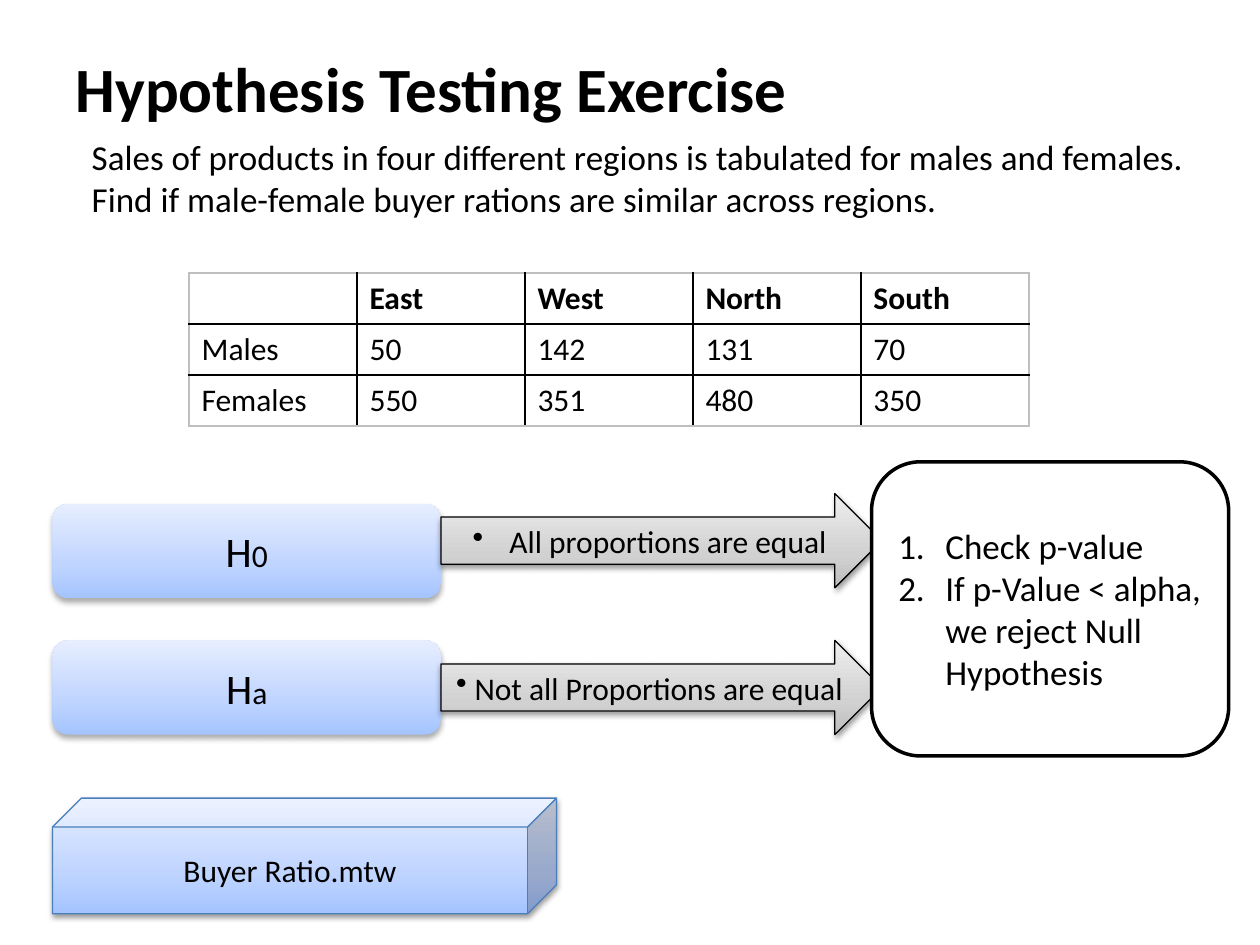
from lxml.etree import SubElement
from pptx import Presentation
from pptx.dml.color import RGBColor
from pptx.enum.shapes import MSO_SHAPE as Preset
from pptx.enum.text import MSO_ANCHOR as Anchor, MSO_AUTO_SIZE as AutoSize, PP_ALIGN as Align
from pptx.oxml.ns import qn
from pptx.util import Cm, Pt

COLORS = {"text": "000000", "paper": "FFFFFF", "outer": "BFBFBF", "cube_edge": "4B7EBC"}
GRADIENTS = {
    "blue": [(0, "A4C4FF"), (35, "BFD4FF"), (100, "E6EEFF")],
    "grey": [(0, "BDBDBD"), (35, "D1D1D1"), (100, "EEEEEE")],
}
SHADOWS = {
    "soft": {"opacity": 35, "blur": 3.15, "distance": 1.8},
    "deep": {"opacity": 38, "blur": 3.15, "distance": 1.6},
}
SHADOWS["soft"] = {"opacity": 32, "blur": 3.5, "distance": 2.2}
SALES = [
    ["", "East", "West", "North", "South"],
    ["Males", "50", "142", "131", "70"],
    ["Females", "550", "351", "480", "350"],
]


def rgb(name):
    return RGBColor.from_string(COLORS[name])


def apply(target, **values):
    for name, value in values.items():
        setattr(target, name, value)


def place(box):
    return [Cm(length) for length in box]


def add_run(paragraph, text, size, bold=False):
    run = paragraph.add_run()
    run.text = text
    apply(run.font, name="Calibri", size=Pt(size), bold=bold)
    run.font.color.rgb = rgb("text")


def set_bullet(paragraph, tag, indent, **values):
    properties = paragraph._p.get_or_add_pPr()
    properties.set("marL", str(Cm(indent)))
    properties.set("indent", str(-Cm(indent)))
    SubElement(properties, qn(tag), values)


def set_gradient(shape, gradient):
    shape.fill.gradient()
    shape.fill.gradient_angle = 90
    stops = shape._element.spPr.find(qn("a:gradFill")).find(qn("a:gsLst"))
    for stop in list(stops):
        stops.remove(stop)
    for position, color in GRADIENTS[gradient]:
        stop = SubElement(stops, qn("a:gs"), pos=str(position * 1000))
        SubElement(stop, qn("a:srgbClr"), val=color)


def set_shadow(shape, opacity, blur, distance):
    effects = shape._element.spPr.find(qn("a:effectLst"))
    outer = SubElement(effects, qn("a:outerShdw"), blurRad=str(Pt(blur)),
                       dist=str(Pt(distance)), dir="5400000", rotWithShape="0")
    color = SubElement(outer, qn("a:srgbClr"), val=COLORS["text"])
    SubElement(color, qn("a:alpha"), val=str(opacity * 1000))


def add_block(slide, preset, box, gradient=None, edge=None, edge_width=0.75, shadow=None):
    block = slide.shapes.add_shape(preset, *place(box))
    if gradient:
        set_gradient(block, gradient)
    else:
        block.fill.solid()
        block.fill.fore_color.rgb = rgb("paper")
    if edge:
        block.line.color.rgb = rgb(edge)
        block.line.width = Pt(edge_width)
    else:
        block.line.fill.background()
    block.shadow.inherit = False
    if shadow:
        set_shadow(block, **SHADOWS[shadow])
    apply(block.text_frame, word_wrap=True, vertical_anchor=Anchor.MIDDLE)
    block.text_frame.paragraphs[0].alignment = Align.CENTER
    return block.text_frame


def add_title(slide, text):
    title = slide.shapes.title
    left, top, width, height = place((1.27, 0.76, 22.86, 1.98))
    apply(title, left=left, top=top, width=width, height=height)
    apply(title.text_frame, word_wrap=True, vertical_anchor=Anchor.MIDDLE,
          auto_size=AutoSize.NONE)
    paragraph = title.text_frame.paragraphs[0]
    paragraph.alignment = Align.LEFT
    add_run(paragraph, text, 36, bold=True)


def add_question(slide, text):
    frame = slide.shapes.add_textbox(*place((1.6, 2.6, 23.3, 2))).text_frame
    frame.word_wrap = True
    add_run(frame.paragraphs[0], text, 20)


def set_border(cell, side, color):
    line = SubElement(cell._tc.get_or_add_tcPr(), qn(f"a:ln{side}"), w=str(Pt(1)))
    fill = SubElement(line, qn("a:solidFill"))
    SubElement(fill, qn("a:srgbClr"), val=COLORS[color])


def add_sales_table(slide, rows):
    row_count, column_count = len(rows), len(rows[0])
    table = slide.shapes.add_table(row_count, column_count,
                                   *place((3.81, 5.5, 16.93, 3.09))).table
    apply(table, first_row=False, horz_banding=False)
    for r, row in enumerate(rows):
        for c, text in enumerate(row):
            cell = table.cell(r, c)
            at_edge = {"L": c == 0, "R": c == column_count - 1,
                       "T": r == 0, "B": r == row_count - 1}
            for side, outer in at_edge.items():
                set_border(cell, side, "outer" if outer else "text")
            cell.fill.background()
            if text:
                add_run(cell.text_frame.paragraphs[0], text, 18, bold=r == 0)


def add_hypothesis(slide, top, subscript):
    frame = add_block(slide, Preset.ROUNDED_RECTANGLE, (1.06, top, 7.83, 1.9),
                      gradient="blue", shadow="soft")
    add_run(frame.paragraphs[0], "H", 24)
    add_run(frame.paragraphs[0], subscript, 18)


def add_claim(slide, top, text, indent):
    frame = add_block(slide, Preset.RIGHT_ARROW, (8.89, top, 8.89, 1.9),
                      gradient="grey", edge="text", shadow="deep")
    apply(frame, margin_left=Cm(0.15), margin_right=Cm(0.15))
    set_bullet(frame.paragraphs[0], "a:buChar", indent, char="•")
    add_run(frame.paragraphs[0], f" {text}", 18)


def add_decision(slide, steps):
    frame = add_block(slide, Preset.ROUNDED_RECTANGLE, (17.57, 9.31, 7.2, 5.93),
                      edge="text", edge_width=2)
    for number, step in enumerate(steps):
        paragraph = frame.add_paragraph() if number else frame.paragraphs[0]
        paragraph.alignment = Align.LEFT
        set_bullet(paragraph, "a:buAutoNum", 0.95, type="arabicPeriod")
        add_run(paragraph, step, 20)


def add_data_file(slide, text):
    frame = add_block(slide, Preset.CUBE, (1.06, 16.09, 10.16, 2.33),
                      gradient="blue", edge="cube_edge", shadow="deep")
    add_run(frame.paragraphs[0], text, 18)


def main():
    deck = Presentation()
    apply(deck, slide_width=Cm(25.4), slide_height=Cm(19.05))
    slide = deck.slides.add_slide(deck.slide_layouts[5])
    add_title(slide, "Hypothesis Testing Exercise")
    add_question(slide, "Sales of products in four different regions is tabulated for males "
                        "and females. Find if male-female buyer rations are similar across regions.")
    add_sales_table(slide, SALES)
    add_hypothesis(slide, 10.16, "0")
    add_hypothesis(slide, 12.91, "a")
    add_claim(slide, 9.95, "All proportions are equal", 0.6)
    add_claim(slide, 12.91, "Not all Proportions are equal", 0)
    add_decision(slide, ["Check p-value", "If p-Value < alpha, we reject Null Hypothesis"])
    add_data_file(slide, "Buyer Ratio.mtw")
    deck.save("out.pptx")


if __name__ == "__main__":
    main()
